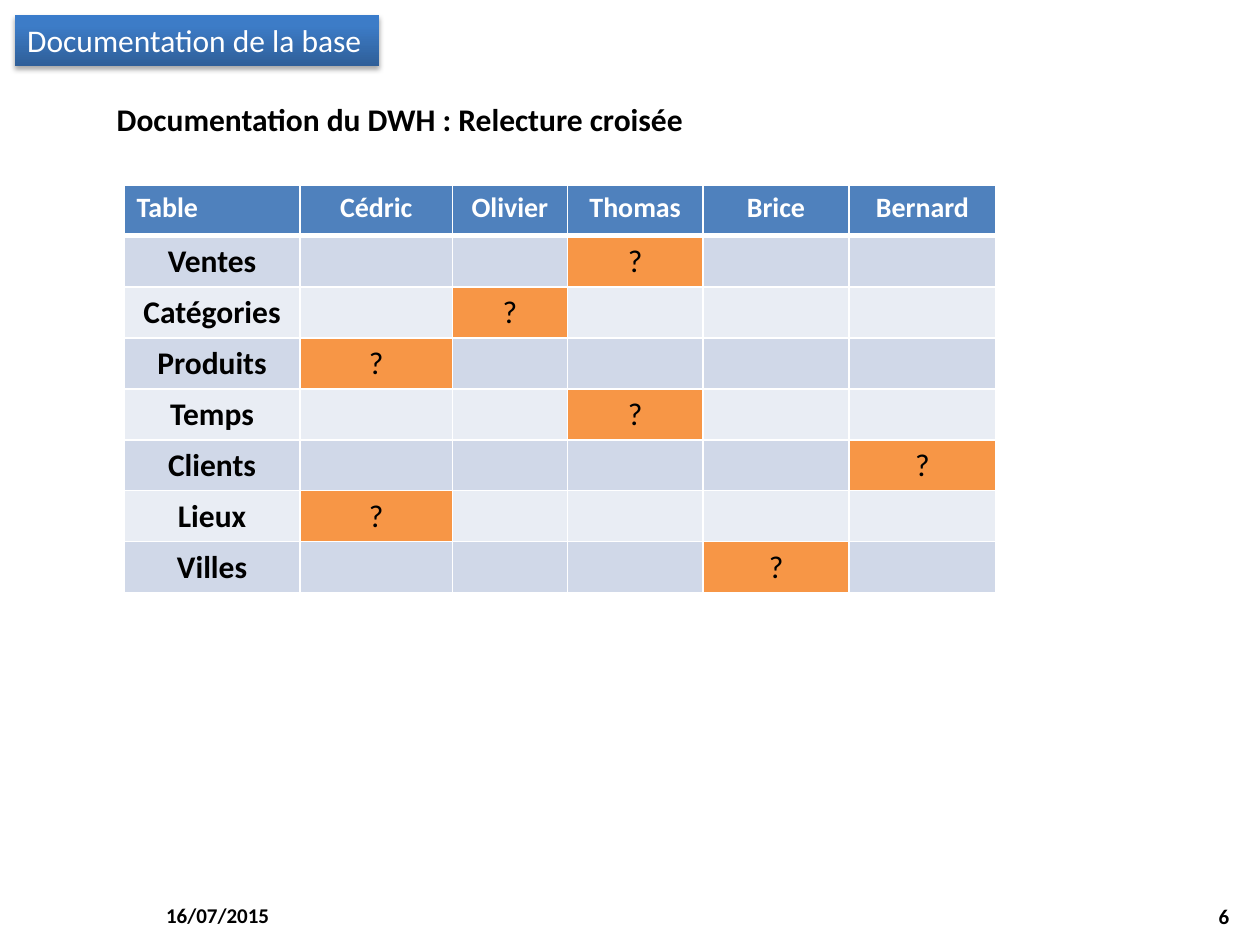
from dataclasses import dataclass

from lxml import etree
from pptx import Presentation
from pptx.dml.color import RGBColor
from pptx.enum import shapes, text
from pptx.oxml import ns, parse_xml
from pptx.util import Pt


@dataclass(frozen=True)
class Theme:
    font: str = "Calibri"
    body: int = 18
    header: int = 16
    footer: int = 12
    black: str = "000000"
    white: str = "FFFFFF"
    blue: str = "4F81BD"
    orange: str = "F79646"
    bands: tuple = ("D0D8E8", "E9EDF4")
    banner: tuple = ((0, "2F5F99"), (80, "3D7CC7"), (100, "3A7CCB"))


T = Theme()
PEOPLE = ["Cédric", "Olivier", "Thomas", "Brice", "Bernard"]
REVIEWERS = {
    "Ventes": "Thomas",
    "Catégories": "Olivier",
    "Produits": "Cédric",
    "Temps": "Thomas",
    "Clients": "Bernard",
    "Lieux": "Cédric",
    "Villes": "Brice",
}
COLUMN_WIDTHS = [100.6, 87.1, 65.7, 77.5, 83.5, 83.9]


def write(tf, content, size, color, bold=False, align=text.PP_ALIGN.LEFT):
    p = tf.paragraphs[0]
    p.text = content
    p.alignment = align
    p.font.name = T.font
    p.font.size = Pt(size)
    p.font.bold = bold
    p.font.color.rgb = RGBColor.from_string(color)
    return p


def place(sp, box):
    sp.left, sp.top, sp.width, sp.height = (Pt(v) for v in box)


def add_banner(s, box, content):
    sp = s.shapes.add_shape(shapes.MSO_SHAPE.RECTANGLE, *(Pt(v) for v in box))
    sp.line.fill.background()
    sp.shadow.inherit = False
    stops = "".join(
        f'<a:gs pos="{pos * 1000}"><a:srgbClr val="{color}"/></a:gs>'
        for pos, color in T.banner
    )
    sp.fill.gradient()
    grad = sp._element.spPr.find(ns.qn("a:gradFill"))
    grad.getparent().replace(grad, parse_xml(
        f'<a:gradFill {ns.nsdecls("a")} rotWithShape="1"><a:gsLst>{stops}</a:gsLst>'
        '<a:lin ang="16200000" scaled="0"/></a:gradFill>'
    ))
    sp._element.spPr.find(ns.qn("a:effectLst")).append(parse_xml(
        f'<a:outerShdw {ns.nsdecls("a")} blurRad="{Pt(3.1)}" dist="{Pt(1.8)}" '
        'dir="5400000" rotWithShape="0"><a:srgbClr val="000000">'
        '<a:alpha val="35000"/></a:srgbClr></a:outerShdw>'
    ))
    tf = sp.text_frame
    tf.word_wrap = False
    tf.vertical_anchor = text.MSO_ANCHOR.TOP
    write(tf, content, T.body, T.white)


def add_title(s, box, content):
    sp = s.shapes.title
    place(sp, box)
    tf = sp.text_frame
    tf.word_wrap = False
    tf.auto_size = text.MSO_AUTO_SIZE.NONE
    tf.vertical_anchor = text.MSO_ANCHOR.TOP
    p = write(tf, content, T.body, T.black, bold=True)
    p.space_before = p.space_after = Pt(6)


def set_borders(cell, widths):
    tcPr = cell._tc.get_or_add_tcPr()
    for side, width in zip("LRTB", widths):
        ln = etree.SubElement(tcPr, ns.qn(f"a:ln{side}"), w=str(Pt(width)))
        fill = etree.SubElement(ln, ns.qn("a:solidFill"))
        etree.SubElement(fill, ns.qn("a:srgbClr"), val=T.white)


def add_review_table(s, box):
    rows = [["Table", *PEOPLE]]
    for name, reviewer in REVIEWERS.items():
        rows.append([name] + ["?" if person == reviewer else "" for person in PEOPLE])
    frame = s.shapes.add_table(len(rows), len(rows[0]), *(Pt(v) for v in box))
    table = frame.table
    for column, width in zip(table.columns, COLUMN_WIDTHS):
        column.width = Pt(width)
    for r, values in enumerate(rows):
        table.rows[r].height = Pt(box[3] / len(rows))
        for c, value in enumerate(values):
            cell = table.cell(r, c)
            header = r == 0
            set_borders(cell, (1, 1, 3 if r == 1 else 1, 3 if header else 1))
            color = T.blue if header else T.orange if value == "?" else T.bands[(r - 1) % 2]
            cell.fill.solid()
            cell.fill.fore_color.rgb = RGBColor.from_string(color)
            write(
                cell.text_frame,
                value,
                T.header if header else T.body,
                T.white if header else T.black,
                bold=header or c == 0,
                align=text.PP_ALIGN.LEFT if r == c == 0 else text.PP_ALIGN.CENTER,
            )


def add_footer(s, box, content, align):
    tf = s.shapes.add_textbox(*(Pt(v) for v in box)).text_frame
    tf.word_wrap = True
    tf.vertical_anchor = text.MSO_ANCHOR.MIDDLE
    write(tf, content, T.footer, T.black, bold=True, align=align)


def build_review_slide(prs):
    s = prs.slides.add_slide(prs.slide_layouts[5])
    add_footer(s, (87.8, 508.3, 168, 28.8), "16/07/2015", text.PP_ALIGN.LEFT)
    add_footer(s, (541.5, 509.3, 168, 28.8), "6", text.PP_ALIGN.RIGHT)
    add_banner(s, (8.5, 8.5, 208, 29.1), "Documentation de la base")
    add_title(s, (59.5, 53.5, 341.3, 29.1), "Documentation du DWH : Relecture croisée")
    add_review_table(s, (70.9, 105.6, sum(COLUMN_WIDTHS), 233.3))


prs = Presentation()
prs.slide_width, prs.slide_height = Pt(720), Pt(540)
build_review_slide(prs)
prs.save("out.pptx")
